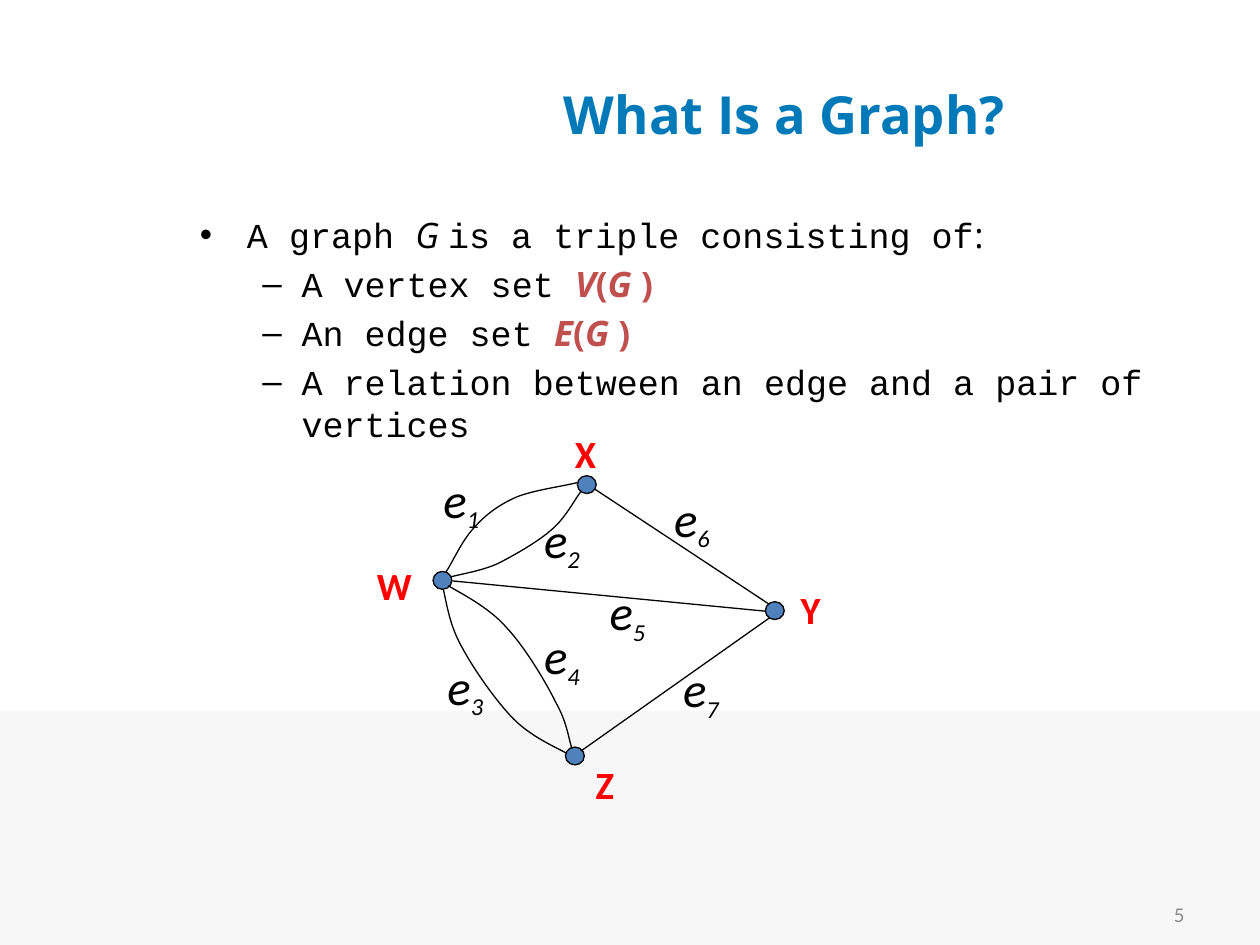
from typing import NamedTuple

from lxml.etree import SubElement
from pptx import Presentation
from pptx.dml.color import RGBColor
from pptx.enum.shapes import MSO_CONNECTOR, MSO_SHAPE
from pptx.enum.text import MSO_ANCHOR, PP_ALIGN
from pptx.oxml.ns import qn
from pptx.util import Cm, Pt

COLORS = {
    "band": "F7F7F7", "title": "0079B8", "text": "000000", "accent": "C0504D",
    "node": "4F81BD", "line": "000000", "label": "FF0000", "page": "8C8C8C",
}
MONO, SANS, LABEL = "Courier New", "Open Sans", "Calibri"
Point = tuple[float, float]


class Vertex(NamedTuple):
    name: str
    dot: Point
    label: Point


class Edge(NamedTuple):
    number: str
    label: Point
    points: list[Point]  # two points: straight; more: chained cubic Beziers


class Span(NamedTuple):
    text: str
    font: str = MONO
    italic: bool = False
    bold: bool = False
    color: str = "text"


class Item(NamedTuple):
    level: int
    spans: list[Span]


def strong(text: str, italic: bool = False) -> Span:
    return Span(text, SANS, italic, True, "accent")


def set_term(letter: str) -> list[Span]:
    return [strong(letter, True), strong("("), strong("G ", True), strong(")")]


VERTICES = [
    Vertex("X", (11.64, 9.59), (11.31, 8.52)),
    Vertex("W", (8.73, 11.52), (7.32, 11.19)),
    Vertex("Y", (15.43, 12.13), (15.86, 11.67)),
    Vertex("Z", (11.4, 15.06), (11.73, 15.19)),
]
EDGES = [
    Edge("1", (8.66, 9.31), [
        (8.99, 11.53), (9.09, 11.4), (9.3, 10.92), (9.53, 10.67), (9.75, 10.41),
        (10.03, 10.19), (10.39, 10.03), (10.74, 9.88), (11.38, 9.8), (11.63, 9.73)]),
    Edge("2", (10.69, 10.12), [
        (9.09, 11.63), (9.25, 11.58), (9.73, 11.51), (10.06, 11.35), (10.39, 11.18),
        (10.85, 10.92), (11.13, 10.67), (11.4, 10.44), (11.58, 10.08), (11.71, 9.91)]),
    Edge("3", (8.74, 13.08), [
        (8.94, 11.89), (9.02, 12.24), (9.07, 12.62), (9.32, 13.06), (9.55, 13.49),
        (10.01, 14.15), (10.36, 14.5), (10.72, 14.86), (11.2, 15.06), (11.43, 15.19)]),
    Edge("4", (10.69, 12.47), [
        (9.04, 11.81), (9.25, 11.94), (9.86, 12.24), (10.21, 12.65), (10.57, 13.03),
        (11, 13.74), (11.2, 14.15), (11.43, 14.55), (11.46, 14.88), (11.53, 15.09)]),
    Edge("5", (12.01, 11.58), [(9.12, 11.71), (15.42, 12.32)]),
    Edge("6", (13.31, 9.69), [(11.99, 9.86), (15.49, 12.17)]),
    Edge("7", (13.49, 13.13), [(11.71, 15.14), (15.52, 12.45)]),
]
ITEMS = [
    Item(0, [Span("A graph "), Span("G ", SANS, True),
             Span("is a triple consisting of"), Span(":", SANS)]),
    Item(1, [Span("A vertex set "), *set_term("V")]),
    Item(1, [Span("An edge set "), *set_term("E")]),
    Item(1, [Span("A relation between an edge and a pair of vertices")]),
]


def color(key: str) -> RGBColor:
    return RGBColor.from_string(COLORS[key])


def style(font, name: str, size: float, key: str, bold=False, italic=False) -> None:
    font.name, font.size, font.bold, font.italic = name, Pt(size), bold, italic
    font.color.rgb = color(key)


def add_text(slide, x: float, y: float, w: float, h: float, inset: Point = (0.25, 0.13)):
    frame = slide.shapes.add_textbox(Cm(x), Cm(y), Cm(w), Cm(h)).text_frame
    frame.word_wrap = True
    frame.margin_left = frame.margin_right = Cm(inset[0])
    frame.margin_top = frame.margin_bottom = Cm(inset[1])
    return frame


def add_line(slide, text: str, box: tuple, align, look: tuple) -> None:
    """Add one line of text, centred vertically in its box."""
    frame = add_text(slide, *box)
    frame.vertical_anchor = MSO_ANCHOR.MIDDLE
    para = frame.paragraphs[0]
    para.text, para.alignment = text, align
    style(para.font, *look)


def add_shape(slide, kind, x: float, y: float, w: float, h: float, fill: str):
    shape = slide.shapes.add_shape(kind, Cm(x), Cm(y), Cm(w), Cm(h))
    shape.shadow.inherit = False
    shape.fill.solid()
    shape.fill.fore_color.rgb = color(fill)
    shape.line.fill.background()
    return shape


def ink(line) -> None:
    line.color.rgb = color("line")
    line.width = Pt(0.75)


def add_item(frame, item: Item, first: bool) -> None:
    para = frame.paragraphs[0] if first else frame.add_paragraph()
    para.level = item.level
    left, hang, mark = [(0.97, 0.95, "•"), (2.07, 0.79, "–")][item.level]
    props = para._p.get_or_add_pPr()
    props.set("marL", str(Cm(left)))
    props.set("indent", str(-Cm(hang)))
    if not first:
        para.space_before = Pt(4)
    SubElement(props, qn("a:buFont")).set("typeface", "Arial")
    SubElement(props, qn("a:buChar")).set("char", mark)
    para.font.size = Pt(20)
    for span in item.spans:
        run = para.add_run()
        run.text = span.text
        style(run.font, span.font, 20, span.color, span.bold, span.italic)


def add_curve(slide, points: list[Point]):
    """Draw chained cubic Beziers: each three line steps become one curve step."""
    start, *rest = [(Cm(x), Cm(y)) for x, y in points]
    pen = slide.shapes.build_freeform(*start)
    pen.add_line_segments(rest, close=False)
    shape = pen.convert_to_shape()
    shape.shadow.inherit = False
    shape.fill.background()
    steps = list(shape._element.iter(qn("a:lnTo")))
    outline = steps[0].getparent()
    for i in range(0, len(steps), 3):
        curve = SubElement(outline, qn("a:cubicBezTo"))
        for step in steps[i:i + 3]:
            curve.append(step[0])
            outline.remove(step)
    return shape


def add_edge(slide, edge: Edge) -> None:
    if len(edge.points) == 2:
        ends = [Cm(v) for point in edge.points for v in point]
        line = slide.shapes.add_connector(MSO_CONNECTOR.STRAIGHT, *ends)
        SubElement(line._element.spPr, qn("a:effectLst"))
    else:
        line = add_curve(slide, edge.points)
    ink(line.line)
    para = add_text(slide, *edge.label, 1.83, 1.47, (0.28, 0.15)).paragraphs[0]
    style(para.font, LABEL, 28, "text", italic=True)
    para.add_run().text = "e"
    sub = para.add_run()
    sub.text = edge.number
    sub.font.size = Pt(24)
    sub.font._element.set("baseline", "-25000")


def add_vertex(slide, vertex: Vertex) -> None:
    ink(add_shape(slide, MSO_SHAPE.OVAL, *vertex.dot, 0.38, 0.36, "node").line)
    para = add_text(slide, *vertex.label, 1.47, 1.22, (0.28, 0.15)).paragraphs[0]
    para.text = vertex.name
    style(para.font, LABEL, 22, "label", bold=True)


def main() -> None:
    deck = Presentation()
    deck.slide_width, deck.slide_height = Cm(25.4), Cm(19.05)
    slide = deck.slides.add_slide(deck.slide_layouts[6])
    add_shape(slide, MSO_SHAPE.RECTANGLE, 0, 14.33, 25.4, 4.72, "band")
    add_line(slide, "5", (18.21, 17.92, 5.92, 1.02), PP_ALIGN.RIGHT, (LABEL, 12, "page"))
    add_line(slide, "What Is a Graph?", (8.13, 1.02, 15.37, 2.54), PP_ALIGN.CENTER,
             (SANS, 30, "title", True))
    body = add_text(slide, 3.76, 4.17, 19.74, 13.23)
    for i, item in enumerate(ITEMS):
        add_item(body, item, i == 0)
    for vertex in VERTICES:
        add_vertex(slide, vertex)
    for edge in EDGES:
        add_edge(slide, edge)
    deck.save("out.pptx")


if __name__ == "__main__":
    main()
